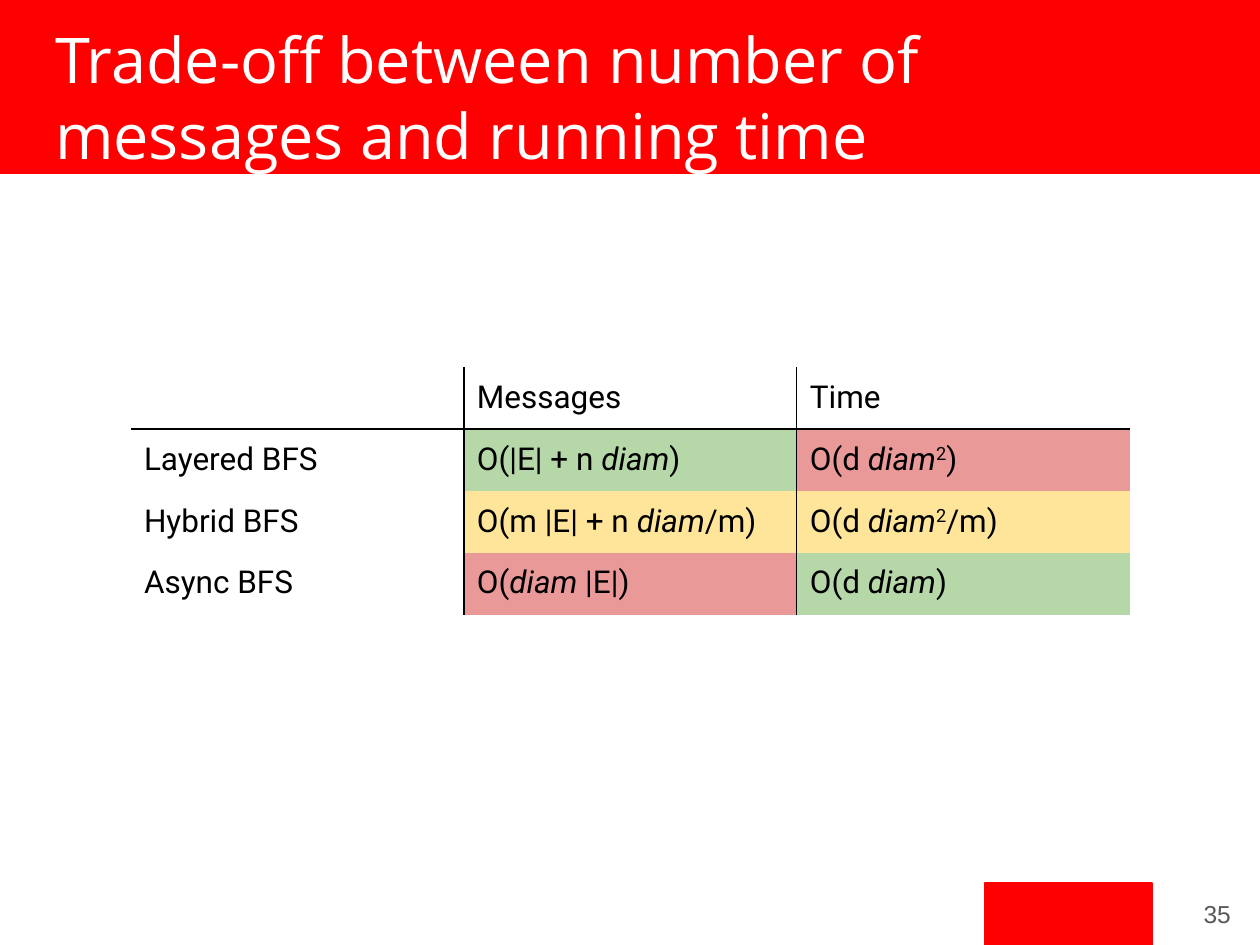
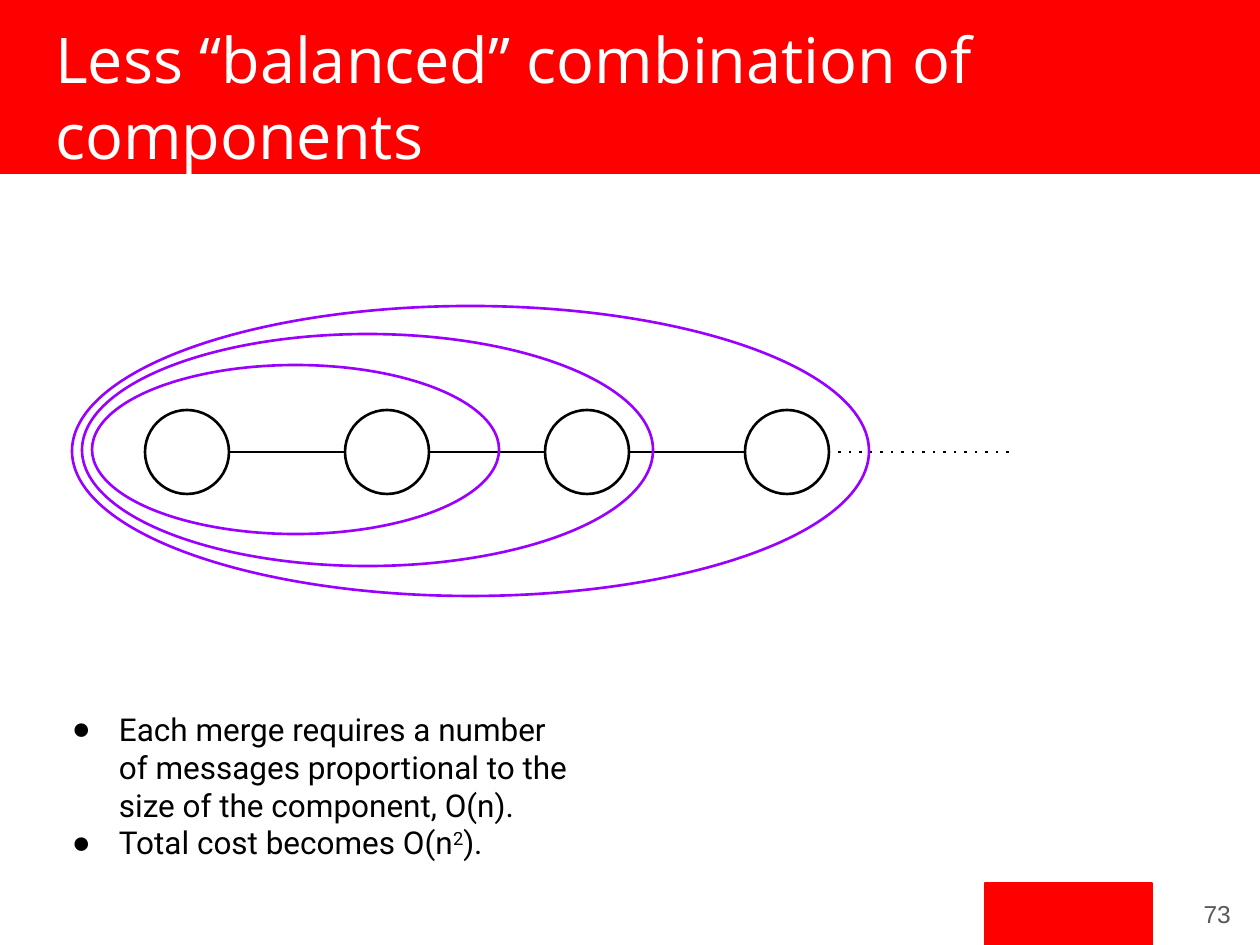
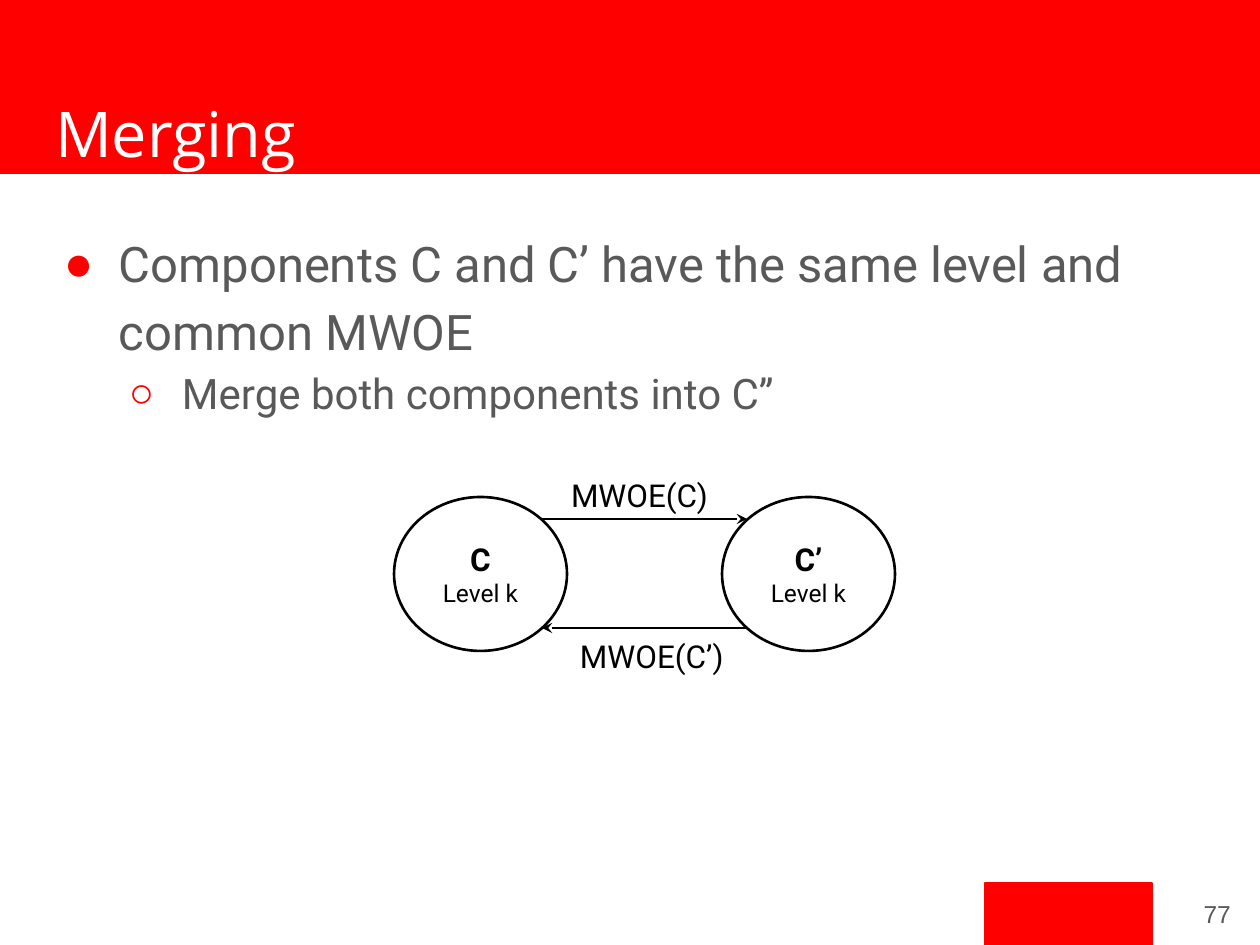
from lxml.etree import SubElement
from pptx import Presentation
from pptx.dml.color import RGBColor
from pptx.enum.shapes import MSO_CONNECTOR, MSO_SHAPE
from pptx.enum.text import MSO_ANCHOR, MSO_AUTO_SIZE, PP_ALIGN
from pptx.oxml.ns import qn
from pptx.util import Emu, Pt

COLORS = {
    "red": "FF0000", "white": "FFFFFF", "black": "000000", "gray": "595959",
    "purple": "9900FF", "good": "B6D7A8", "middle": "FFE599", "bad": "EA9999",
}
INSET, CELL_INSET = 13, 12
PLAIN_TABLE = "{2D5ABB26-0587-4C30-8999-92F81FD0307C}"

BAND = (0, 0, 1260, 173)
FOOTER_BLOCK = (985, 883, 167, 62)
NUMBER_BOX = (1168, 878, 76, 72)

DIAM = ("diam", "italic")
SQUARE = ("2", "super")
COSTS = [
    [("", None), ("Messages", None), ("Time", None)],
    [("Layered BFS", None),
     (["O(|E| + n ", DIAM, ")"], "good"),
     (["O(d ", DIAM, SQUARE, ")"], "bad")],
    [("Hybrid BFS", None),
     (["O(m |E| + n ", DIAM, "/m)"], "middle"),
     (["O(d ", DIAM, SQUARE, "/m)"], "middle")],
    [("Async BFS", None),
     (["O(", DIAM, " |E|)"], "bad"),
     (["O(d ", DIAM, ")"], "good")],
]
COSTS_AT, COST_WIDTH, COST_HEIGHT = (131, 367), 333, 62

NODE_COUNT, NODE_SIZE, NODE_STEP, NODES_AT = 4, 84, 200, (145, 410)
CHAIN_END = 1009
MERGES = [(92, 365, 407, 169), (82, 334, 571, 232), (72, 306, 797, 290)]
MERGE_COST = [
    "Each merge requires a number of messages proportional to the size of the component, O(n).",
    ["Total cost becomes O(n", SQUARE, ")."],
]
MERGE_COST_BOX = (43, 697, 543, 219)

MERGE_RULE = [
    ("Components C and C’ have the same level and common MWOE", 0, "●", 63, 55, 28),
    ("Merge both components into C’’", 1, "○", 126, 53, 24),
]
MERGE_RULE_BOX = (43, 212, 1174, 627)
COMPONENTS = [("C", "Level k", 394), ("C’", "Level k", 722)]
COMPONENT_TOP, COMPONENT_SIZE = 497, (173, 154)
OUTGOING = [
    ("MWOE(C)", (558, 463), (542, 747), 519),
    ("MWOE(C’)", (567, 624), (747, 542), 628),
]
LABEL_SIZE = (256, 67)


def px(length):
    return Emu(round(length * 914400 / 126))


def box(*lengths):
    return [px(length) for length in lengths]


def rgb(name):
    return RGBColor.from_string(COLORS[name])


def style(font, size, face="Roboto", color="black", bold=False):
    font.size, font.name, font.bold = Pt(size), face, bold
    font.color.rgb = rgb(color)


def write(paragraph, parts):
    for part in [parts] if isinstance(parts, str) else parts:
        text, kind = (part, None) if isinstance(part, str) else part
        run = paragraph.add_run()
        run.text = text
        if kind == "italic":
            run.font.italic = True
        elif kind == "super":
            run._r.get_or_add_rPr().set("baseline", "30000")


def bullet(paragraph, mark, indent, hanging, color):
    properties = paragraph._p.get_or_add_pPr()
    properties.set("marL", str(px(indent)))
    properties.set("indent", str(-px(hanging)))
    tint = SubElement(properties, qn("a:buClr"))
    SubElement(tint, qn("a:srgbClr"), val=COLORS[color])
    SubElement(properties, qn("a:buFont"), typeface="Arial")
    SubElement(properties, qn("a:buChar"), char=mark)


def set_frame(frame, anchor=MSO_ANCHOR.TOP):
    frame.word_wrap = True
    frame.auto_size = MSO_AUTO_SIZE.NONE
    frame.vertical_anchor = anchor
    frame.margin_left = frame.margin_right = px(INSET)
    frame.margin_top = frame.margin_bottom = px(INSET)
    return frame


def add_text(slide, place, anchor=MSO_ANCHOR.TOP):
    return set_frame(slide.shapes.add_textbox(*box(*place)).text_frame, anchor)


def add_block(slide, place):
    block = slide.shapes.add_shape(MSO_SHAPE.RECTANGLE, *box(*place))
    block.shadow.inherit = False
    block.fill.solid()
    block.fill.fore_color.rgb = block.line.color.rgb = rgb("red")
    block.line.width = Pt(0.75)
    return block


def add_ellipse(slide, place, color="black"):
    ellipse = slide.shapes.add_shape(MSO_SHAPE.OVAL, *box(*place))
    ellipse.shadow.inherit = False
    ellipse.fill.background()
    ellipse.line.color.rgb = rgb(color)
    ellipse.line.width = Pt(1.5)
    return ellipse


def add_line(slide, start, end, y, dash=None, arrow=None):
    line = slide.shapes.add_connector(MSO_CONNECTOR.STRAIGHT, *box(start, y, end, y))
    line.line.color.rgb = rgb("black")
    line.line.width = Pt(1.5)
    properties = line.element.spPr
    outline = properties.find(qn("a:ln"))
    if dash:
        SubElement(outline, qn("a:prstDash"), val=dash)
    if arrow:
        SubElement(outline, qn("a:tailEnd"), type=arrow)
    SubElement(properties, qn("a:effectLst"))


def add_border(cell, side):
    border = SubElement(cell._tc.get_or_add_tcPr(), qn(f"a:ln{side}"), w=str(Pt(0.75)))
    fill = SubElement(border, qn("a:solidFill"))
    SubElement(fill, qn("a:srgbClr"), val=COLORS["black"])


def decorate_layout(layout, slide):
    first = layout.placeholders[0].element
    for place in (BAND, FOOTER_BLOCK):
        first.addprevious(add_block(slide, place).element)


def start_slide(slide, heading, number, top=8):
    title = slide.shapes.title
    title.left, title.top, title.width, title.height = box(42, top, 1174, 105)
    paragraph = set_frame(title.text_frame).paragraphs[0]
    write(paragraph, heading)
    paragraph.alignment = PP_ALIGN.LEFT
    style(paragraph.font, 36, "Open Sans", "white")
    paragraph = add_text(slide, NUMBER_BOX, MSO_ANCHOR.MIDDLE).paragraphs[0]
    write(paragraph, str(number))
    paragraph.alignment = PP_ALIGN.RIGHT
    style(paragraph.font, 14, "Arial", "gray")


def build_costs(slide):
    start_slide(slide, "Trade-off between number of messages and running time", 35)
    rows, columns = len(COSTS), len(COSTS[0])
    size = (COST_WIDTH * columns, COST_HEIGHT * rows)
    holder = slide.shapes.add_table(rows, columns, *box(*COSTS_AT, *size))
    next(holder.element.iter(qn("a:tableStyleId"))).text = PLAIN_TABLE
    table = holder.table
    table.first_row = table.horz_banding = False
    for column in table.columns:
        column.width = px(COST_WIDTH)
    for r, costs in enumerate(COSTS):
        table.rows[r].height = px(COST_HEIGHT)
        for c, (parts, rating) in enumerate(costs):
            cell = table.cell(r, c)
            cell.margin_left = cell.margin_right = px(INSET)
            cell.margin_top = cell.margin_bottom = px(CELL_INSET)
            paragraph = cell.text_frame.paragraphs[0]
            if parts:
                write(paragraph, parts)
            style(paragraph.font, 18)
            if c < columns - 1:
                add_border(cell, "R")
            if r == 0:
                add_border(cell, "B")
            if rating:
                cell.fill.solid()
                cell.fill.fore_color.rgb = rgb(rating)
            else:
                cell.fill.background()


def build_chain(slide):
    start_slide(slide, "Less “balanced” combination of components", 73)
    left, top = NODES_AT
    middle = top + NODE_SIZE // 2
    nodes = [left + i * NODE_STEP for i in range(NODE_COUNT)]
    for node in nodes:
        add_ellipse(slide, (node, top, NODE_SIZE, NODE_SIZE))
    for node, following in zip(nodes, nodes[1:]):
        add_line(slide, node + NODE_SIZE, following, middle)
    add_line(slide, CHAIN_END, nodes[-1] + NODE_SIZE, middle, dash="dot")
    for merge in MERGES:
        add_ellipse(slide, merge, "purple")
    frame = add_text(slide, MERGE_COST_BOX)
    for i, parts in enumerate(MERGE_COST):
        paragraph = frame.add_paragraph() if i else frame.paragraphs[0]
        bullet(paragraph, "●", 63, 47, "black")
        write(paragraph, parts)
        style(paragraph.font, 18)


def build_merging(slide):
    start_slide(slide, "Merging", 77, top=82)
    frame = add_text(slide, MERGE_RULE_BOX)
    for i, (rule, level, mark, indent, hanging, size) in enumerate(MERGE_RULE):
        paragraph = frame.add_paragraph() if i else frame.paragraphs[0]
        paragraph.level = level
        paragraph.line_spacing = 1.15
        bullet(paragraph, mark, indent, hanging, "red")
        write(paragraph, rule)
        style(paragraph.font, size, color="gray")
    for name, level, left in COMPONENTS:
        component = add_ellipse(slide, (left, COMPONENT_TOP, *COMPONENT_SIZE))
        paragraph = set_frame(component.text_frame, MSO_ANCHOR.MIDDLE).paragraphs[0]
        paragraph.alignment = PP_ALIGN.CENTER
        write(paragraph, name)
        paragraph.add_line_break()
        write(paragraph, level)
        for run, size, bold in zip(paragraph.runs, (18, 14), (True, False)):
            style(run.font, size, bold=bold)
    for label, place, (start, end), y in OUTGOING:
        add_line(slide, start, end, y, arrow="stealth")
        paragraph = add_text(slide, (*place, *LABEL_SIZE)).paragraphs[0]
        write(paragraph, label)
        style(paragraph.font, 18)


def main():
    deck = Presentation()
    deck.slide_width, deck.slide_height = box(1260, 945)
    layout = deck.slide_layouts[5]
    for i, build in enumerate((build_costs, build_chain, build_merging)):
        slide = deck.slides.add_slide(layout)
        if i == 0:
            decorate_layout(layout, slide)
        build(slide)
    deck.save("out.pptx")


if __name__ == "__main__":
    main()
